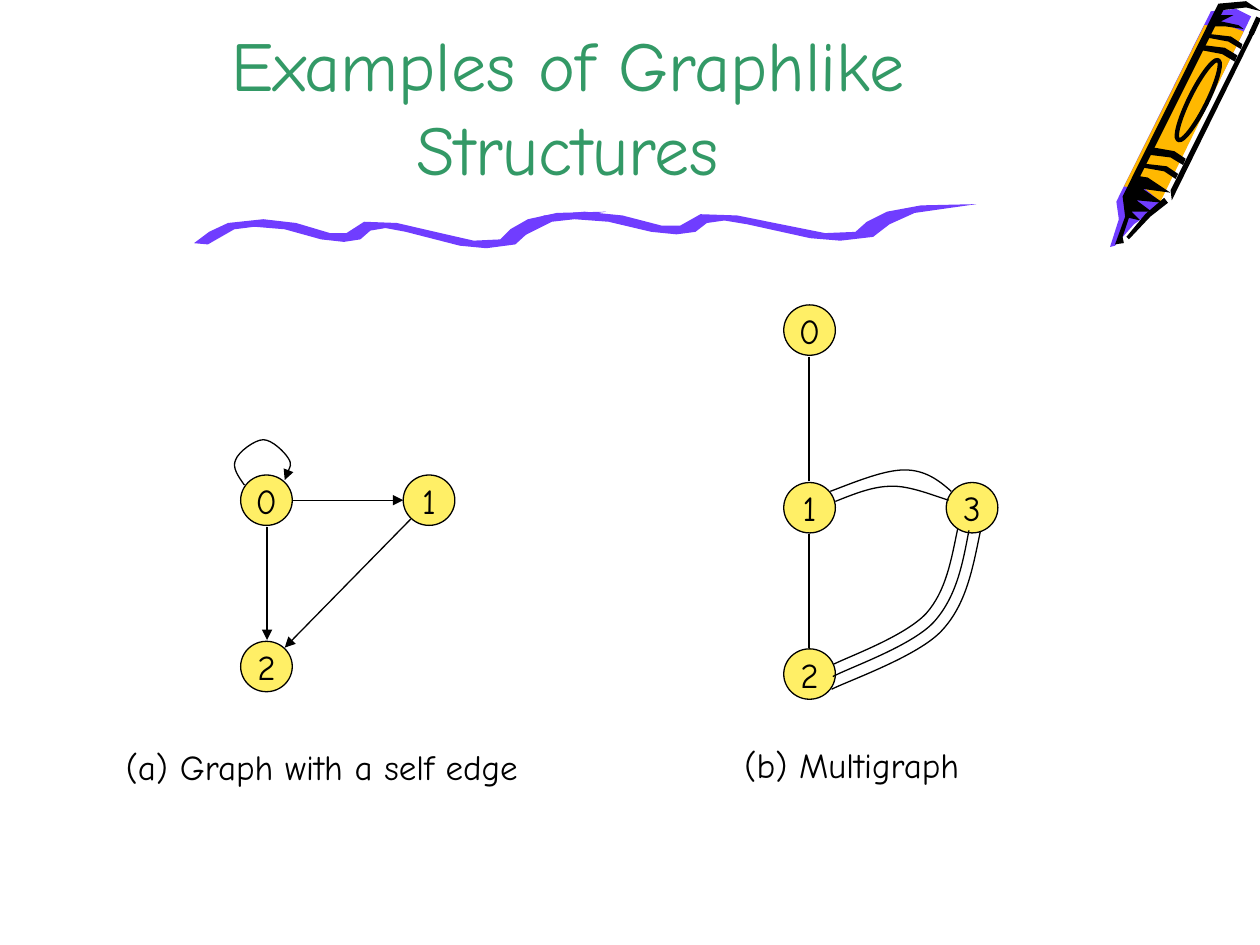
from math import atan2, cos, degrees, hypot, sin

from lxml.etree import SubElement as Sub
from pptx import Presentation
from pptx.dml.color import RGBColor as RGB
from pptx.enum.shapes import MSO_CONNECTOR as Conn, MSO_SHAPE as Shape
from pptx.enum.text import MSO_ANCHOR as Anchor, PP_ALIGN as Align
from pptx.oxml.ns import qn
from pptx.util import Pt

PX = 9144
INK = {"green": "339966", "black": "000000", "yellow": "FFEF66",
       "purple": "703DFF", "orange": "FFB800"}


def stroke(item, width, arrow=False):
    item.line.color.rgb = RGB.from_string(INK["black"])
    item.line.width = Pt(width)
    props = item.element.spPr
    if arrow:
        Sub(props.find(qn("a:ln")), qn("a:tailEnd"), type="triangle")
    Sub(props, qn("a:effectLst"))


def write(item, text, size, ink, align, anchor, wrap):
    frame = item.text_frame
    frame.text = text
    frame.word_wrap = wrap
    frame.vertical_anchor = anchor
    line = frame.paragraphs[0]
    line.alignment = align
    font = line.runs[0].font
    font.name = "Comic Neue"
    font.size = Pt(size)
    font.color.rgb = RGB.from_string(INK[ink])


deck = Presentation()
deck.slide_width, deck.slide_height = 1000 * PX, 750 * PX
slide = deck.slides.add_slide(deck.slide_layouts[6])
shapes = slide.shapes

left, base = 892, 148
tilt = atan2(1, 2)
up, side = (sin(tilt), -cos(tilt)), (cos(tilt), sin(tilt))

core = [(-48, 12), (-25, 8), (-13, 0), (155, 0), (166, 17), (166, 30),
        (-5, 30), (-23, 21), (-45, 15)]
wrap = [(0, 0), (143, 0), (151, 18), (152, 30), (2, 31), (6, 16)]
rim = [(13, 8), (161, 8), (170, 23), (173, 35), (175, 21), (163, 2),
       (-8, 3), (-21, 12), (-44, 14), (-40, 20), (-36, 17), (-21, 15)]
teeth = [p for i in range(4)
         for p in [(10 * i - 18, min(24 + 5 * i, 35)), (10 * i - 15, 14)]]
flank = [(7, 39), (14, 34), (157, 34), (159, 38)]
nib = [(4, 37), (-12, 29), (-36, 22), (-35, 20), (-12, 25), (6, 33)]
cap = [(154, 29), (150, 16), (144, 5), (156, 7), (160, 17), (152, 10), (155, 24)]
arch = [(0, 7), (5, 23), (4, 34)]
bands = [[(start + t, s) for t, s in arch]
         + [(start + thick + t, s) for t, s in reversed(arch)]
         for start, thick in [(20, 4), (32, 6), (124, 5), (135, 4)]]
parts = [("purple", core), ("orange", wrap)]
parts += [("black", part) for part in [rim + teeth, flank, nib, cap] + bands]
crayon = [(ink, [(round(left + t * up[0] + s * side[0]),
                  round(base + t * up[1] + s * side[1])) for t, s in part])
          for ink, part in parts]

under = [(0, 9), (11, 10), (32, -2), (48, -4), (72, -2), (101, 6), (119, 8),
         (132, 6), (140, -1), (152, -3), (168, 0), (211, 11), (232, 13),
         (255, 10), (266, 0), (284, -9), (327, -16)]
over = [(12, 0), (27, -7), (55, -10), (81, -7), (108, 1), (121, 1), (135, -8),
        (161, -7), (200, 2), (222, 7), (243, 6), (251, -2), (265, -10),
        (288, -15)]
waves = [("purple", [(round(x + zoom * dx), y + dy)
                     for dx, dy in under + over[::-1]])
         for x, y, zoom in [(154, 184, 1), (401, 178, 1.145)]]

for ink, pts in crayon + waves:
    pen = shapes.build_freeform(*pts[0], scale=PX)
    pen.add_line_segments(pts[1:], close=True)
    item = pen.convert_to_shape()
    item.shadow.inherit = False
    item.fill.solid()
    item.fill.fore_color.rgb = RGB.from_string(INK[ink])
    item.line.fill.background()

wide, tall = 14, 71
midx = round(left + 88 * up[0] + 22 * side[0])
midy = round(base + 88 * up[1] + 22 * side[1])
ring = shapes.add_shape(Shape.OVAL, (midx - wide // 2) * PX,
                        (midy - tall // 2) * PX, wide * PX, tall * PX)
ring.rotation = degrees(tilt)
ring.fill.background()
stroke(ring, 2.5)
glint = shapes.add_connector(Conn.STRAIGHT, 999 * PX, 14 * PX, 993 * PX, 27 * PX)
stroke(glint, 3)

wide, tall, gap, drop = 41, 40, 129, 132
graphs = [
    (191, 377, {"0": (0, 0), "1": (gap, 0), "2": (0, drop)},
     ["02", "01", "12"], True),
    (622, 383, {"0": (0, -141), "1": (0, 0), "2": (0, drop), "3": (gap, 0)},
     ["01", "12"], False),
]
for x, y, nodes, edges, arrow in graphs:
    for label, (dx, dy) in nodes.items():
        node = shapes.add_shape(Shape.OVAL, (x + dx) * PX, (y + dy) * PX,
                                wide * PX, tall * PX)
        node.fill.solid()
        node.fill.fore_color.rgb = RGB.from_string(INK["yellow"])
        stroke(node, 0.75)
        write(node, label, 20, "black", Align.CENTER, Anchor.MIDDLE, False)
    for start, end in edges:
        (x1, y1), (x2, y2) = [(x + nodes[n][0] + wide / 2,
                               y + nodes[n][1] + tall / 2) for n in (start, end)]
        trim = (tall / 2 + 1) / hypot(x2 - x1, y2 - y1)
        cutx, cuty = trim * (x2 - x1), trim * (y2 - y1)
        ends = [round(v) * PX for v in (x1 + cutx, y1 + cuty, x2 - cutx, y2 - cuty)]
        stroke(shapes.add_connector(Conn.STRAIGHT, *ends), 0.75, arrow)

loop = [(194, 385), (189, 378), (184, 371), (187, 365), (189, 359), (202, 349),
        (209, 349), (216, 349), (226, 359), (229, 364), (232, 369), (227, 378),
        (226, 381)]
high = [(659, 390), (680, 382), (702, 373), (718, 373), (734, 373), (745, 381),
        (755, 390)]
low = [(663, 398), (678, 392), (693, 386), (707, 386), (722, 385), (745, 395),
       (753, 397)]
inner = [(760, 420), (755, 444), (751, 469), (735, 487), (718, 505), (674, 521),
         (662, 527)]
outer = [(778, 422), (772, 451), (767, 480), (747, 501), (728, 521), (674, 540),
         (660, 547)]
for first, last, count, arrow in [(loop, loop, 1, True), (high, low, 2, False),
                                  (inner, outer, 3, False)]:
    for n in range(count):
        part = n / max(count - 1, 1)
        pts = [(round(x1 + part * (x2 - x1)), round(y1 + part * (y2 - y1)))
               for (x1, y1), (x2, y2) in zip(first, last)]
        pen = shapes.build_freeform(*pts[0], scale=PX)
        pen.add_line_segments(pts[1:], close=False)
        edge = pen.convert_to_shape()
        edge.fill.background()
        stroke(edge, 0.75, arrow)
        geom = edge.element.find(".//" + qn("a:path"))
        segs = geom.findall(qn("a:lnTo"))
        for i in range(0, len(segs), 3):
            bend = Sub(geom, qn("a:cubicBezTo"))
            for seg in segs[i:i + 3]:
                bend.append(seg[0])
                geom.remove(seg)

for text, x, y, w, h, size, ink, align, anchor in [
        ("Examples of Graphlike Structures", 75, 0, 751, 155, 40, "green",
         Align.CENTER, Anchor.BOTTOM),
        ("(a) Graph with a self edge", 90, 587, 360, 44, 20, "black",
         Align.LEFT, Anchor.TOP),
        ("(b) Multigraph", 581, 585, 235, 44, 20, "black",
         Align.LEFT, Anchor.TOP)]:
    box = shapes.add_textbox(x * PX, y * PX, w * PX, h * PX)
    write(box, text, size, ink, align, anchor, True)

deck.save("out.pptx")
